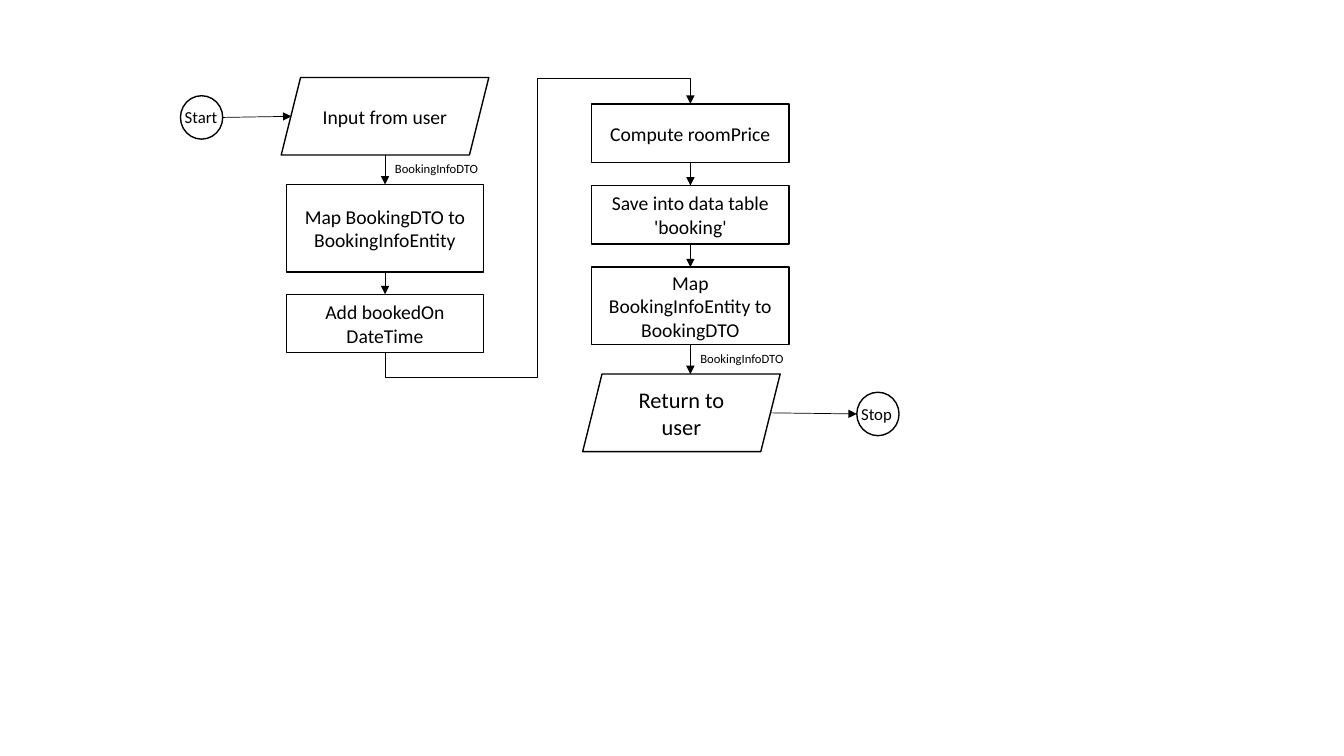
from dataclasses import dataclass

from lxml import etree
from pptx import Presentation
from pptx.dml.color import RGBColor
from pptx.enum.shapes import MSO_CONNECTOR, MSO_SHAPE
from pptx.enum.text import MSO_ANCHOR, PP_ALIGN
from pptx.oxml.ns import qn
from pptx.util import Pt

RECT, OVAL, SLANT = MSO_SHAPE.RECTANGLE, MSO_SHAPE.OVAL, MSO_SHAPE.PARALLELOGRAM
STRAIGHT, ELBOW = MSO_CONNECTOR.STRAIGHT, MSO_CONNECTOR.ELBOW
MIDDLE, CENTER = MSO_ANCHOR.MIDDLE, PP_ALIGN.CENTER
TOP_SIDE, BOTTOM_SIDE = 0, 2
BLANK_LAYOUT = 6


@dataclass(frozen=True)
class Theme:
    font: str = "Calibri"
    ink: RGBColor = RGBColor(0, 0, 0)
    paper: RGBColor = RGBColor(255, 255, 255)
    label_size: float = 9
    terminal_size: float = 12
    step_size: float = 14
    return_size: float = 16
    outline: float = 1
    arrow: float = 0.5


THEME = Theme()


@dataclass(frozen=True)
class Step:
    text: str
    height: float
    gap: float = 0  # distance from the step above
    kind: MSO_SHAPE = RECT
    widen: float = 0  # extra width against the column
    shift: float = 0  # offset of the centre against the column
    size: float = THEME.step_size
    label: str = ""  # note beside the arrow leading here


COLUMN_WIDTH = 141.1
TERMINAL_WIDTH, TERMINAL_HEIGHT = 30.2, 31
ELBOW_REACH = 18

REQUEST_STEPS = [
    Step("Input from user", 55.4, kind=SLANT, widen=7.2),
    Step("Map BookingDTO to BookingInfoEntity", 62.6, 21, label="BookingInfoDTO"),
    Step("Add bookedOn DateTime", 41.8, 15.8),
]
RESPONSE_STEPS = [
    Step("Compute roomPrice", 41.8),
    Step("Save into data table 'booking'", 41.8, 16.5),
    Step("Map BookingInfoEntity to BookingDTO", 55.4, 16.5),
    Step("Return to user", 55.4, 21, SLANT, shift=-6.4,
         size=THEME.return_size, label="BookingInfoDTO"),
]


def style_text(frame, text, size):
    frame.word_wrap = True
    paragraph = frame.paragraphs[0]
    paragraph.text = text
    paragraph.font.name = THEME.font
    paragraph.font.size = Pt(size)
    paragraph.font.color.rgb = THEME.ink
    return paragraph


def add_node(slide, kind, left, top, width, height):
    node = slide.shapes.add_shape(kind, Pt(left), Pt(top), Pt(width), Pt(height))
    node.shadow.inherit = False
    node.fill.solid()
    node.fill.fore_color.rgb = THEME.paper
    node.line.color.rgb = THEME.ink
    node.line.width = Pt(THEME.outline)
    return node


def add_label(slide, text, left, top, width, height, size):
    label = slide.shapes.add_textbox(Pt(left), Pt(top), Pt(width), Pt(height))
    style_text(label.text_frame, text, size)


def add_arrow(slide, start, end, kind=STRAIGHT):
    arrow = slide.shapes.add_connector(kind, *(Pt(v) for v in (*start, *end)))
    arrow.line.color.rgb = THEME.ink
    arrow.line.width = Pt(THEME.arrow)
    properties = arrow._element.spPr
    outline = properties.find(qn("a:ln"))
    etree.SubElement(outline, qn("a:tailEnd"), type="triangle")
    etree.SubElement(properties, qn("a:effectLst"))
    return arrow


def add_column(slide, left, top, steps):
    """Stack the steps, link them downwards and return the column's bottom."""
    center = left + COLUMN_WIDTH / 2
    bottom, above = top, None
    for step in steps:
        y, width = bottom + step.gap, COLUMN_WIDTH + step.widen
        node = add_node(slide, step.kind, center + step.shift - width / 2, y,
                        width, step.height)
        style_text(node.text_frame, step.text, step.size).alignment = CENTER
        node.text_frame.vertical_anchor = MIDDLE
        if above is not None:
            arrow = add_arrow(slide, (center, bottom), (center, y))
            if above.auto_shape_type == RECT:
                arrow.begin_connect(above, BOTTOM_SIDE)
            if step.kind == RECT:
                arrow.end_connect(node, TOP_SIDE)
        if step.label:
            add_label(slide, step.label, center, bottom + 0.8, 85, 18,
                      THEME.label_size)
        bottom, above = y + step.height, node
    return bottom


def add_terminal(slide, text, left, top):
    add_node(slide, OVAL, left, top, TERMINAL_WIDTH, TERMINAL_HEIGHT)
    add_label(slide, text, left - 4, top + 4.3, 40.3, 21.6, THEME.terminal_size)


def add_column_link(slide, start, end):
    """Lead from the foot of one column over the head of the next."""
    mid_x, mid_y = (start[0] + end[0]) / 2, (start[1] + end[1]) / 2
    across, rise = end[0] - start[0], start[1] - end[1]
    # The connector is laid out on its side and turned a quarter
    link = add_arrow(slide, (mid_x + rise / 2, mid_y + across / 2),
                     (mid_x - rise / 2, mid_y - across / 2), ELBOW)
    properties = link._element.spPr
    properties.find(qn("a:xfrm")).set("rot", str(90 * 60000))
    geometry = properties.find(qn("a:prstGeom"))
    geometry.set("prst", "bentConnector5")
    guides = geometry.find(qn("a:avLst"))
    reach = ELBOW_REACH / rise
    for number, share in enumerate((-reach, 0.5, 1 + reach), start=1):
        etree.SubElement(guides, qn("a:gd"), name=f"adj{number}",
                         fmla=f"val {round(share * 100000)}")


def build_flowchart(slide, left, top):
    request_left, response_left = left + 75.6, left + 293.7
    response_top = top + 18.8
    half = COLUMN_WIDTH / 2

    # Step columns
    request_bottom = add_column(slide, request_left, top, REQUEST_STEPS)
    response_bottom = add_column(slide, response_left, response_top, RESPONSE_STEPS)
    add_column_link(slide, (request_left + half, request_bottom),
                    (response_left + half, response_top))

    # Start and stop
    start_top, stop_left, stop_top = top + 13, left + 483.1, response_bottom - 42.4
    add_terminal(slide, "Start", left, start_top)
    add_arrow(slide, (left + TERMINAL_WIDTH, start_top + TERMINAL_HEIGHT / 2),
              (left + 79.2, top + 27.7))
    add_terminal(slide, "Stop", stop_left, stop_top)
    add_arrow(slide, (left + 421.2, response_bottom - 27.7),
              (stop_left, stop_top + TERMINAL_HEIGHT / 2))


def main():
    deck = Presentation()
    deck.slide_width, deck.slide_height = Pt(960), Pt(540)
    slide = deck.slides.add_slide(deck.slide_layouts[BLANK_LAYOUT])
    build_flowchart(slide, 128.9, 55.4)
    deck.save("out.pptx")


if __name__ == "__main__":
    main()
